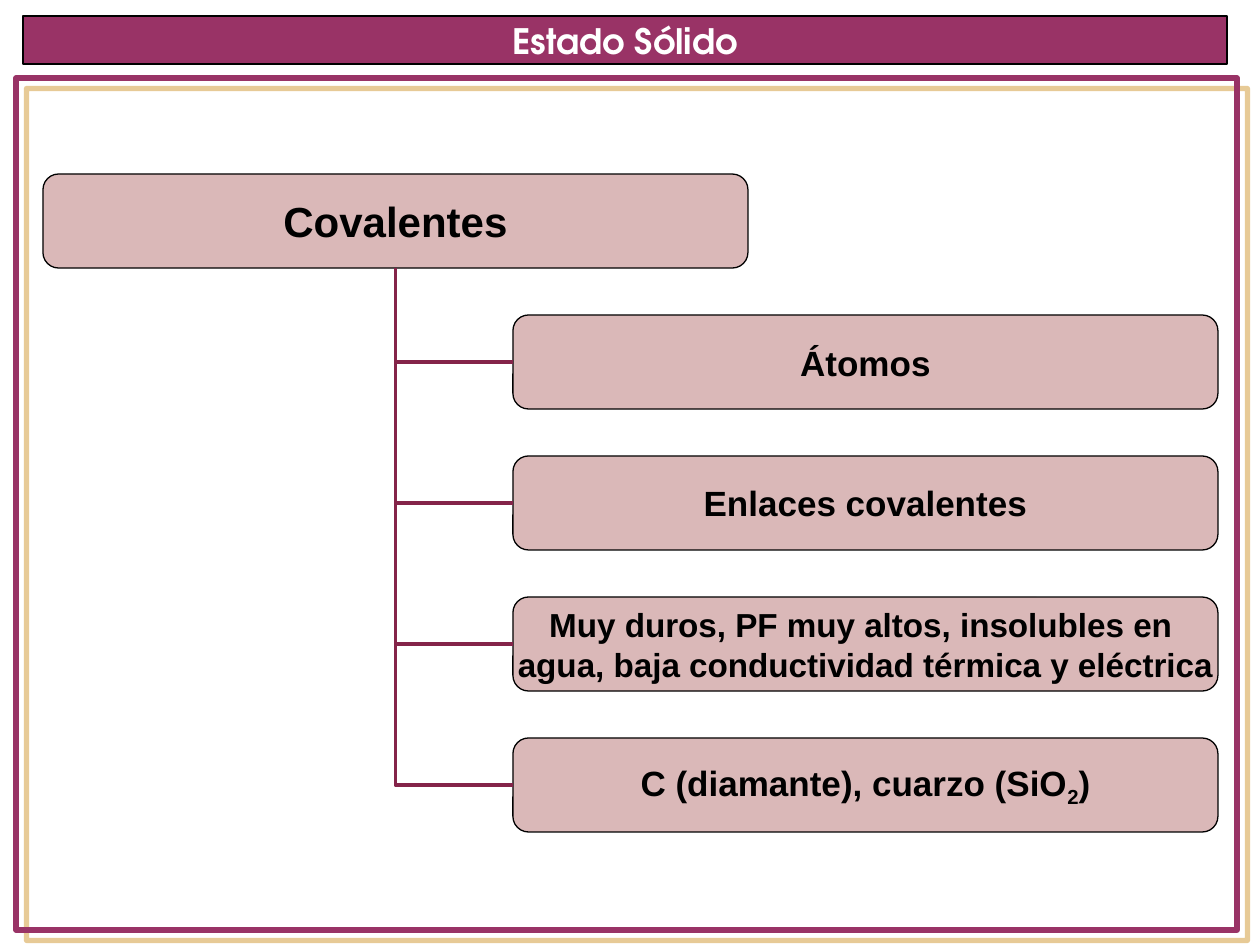
import dataclasses

import pptx
import pptx.dml.color
import pptx.enum.shapes
import pptx.enum.text
import pptx.oxml
import pptx.oxml.ns
import pptx.util

PX = 914400 / 126
SHAPES = pptx.enum.shapes.MSO_SHAPE


@dataclasses.dataclass(frozen=True)
class Theme:
    plum: str = "993366"
    branch: str = "842449"
    box: str = "DAB8B8"
    ink: str = "000000"
    paper: str = "FFFFFF"
    frame_shadow: str = "D1972F"
    title_font: str = "TeX Gyre Adventor"
    body_font: str = "Arial"
    title_size: int = 20
    parent_size: int = 24
    child_size: int = 20
    dense_size: int = 19


THEME = Theme()
rgb = pptx.dml.color.RGBColor.from_string


def emu(*lengths):
    return [round(length * PX) for length in lengths]


def format_box(shape, lines, fill, font, size, color):
    """Fill and outline a shape and write its centred lines; each line is a list of runs, "_" marking a subscript."""
    shape.shadow.inherit = False
    shape.fill.solid()
    shape.fill.fore_color.rgb = rgb(fill)
    shape.line.color.rgb = rgb(THEME.ink)
    shape.line.width = pptx.util.Pt(0.75)
    frame = shape.text_frame
    frame.word_wrap = False
    frame.auto_size = pptx.enum.text.MSO_AUTO_SIZE.NONE
    frame.vertical_anchor = pptx.enum.text.MSO_ANCHOR.MIDDLE
    frame.margin_left = frame.margin_right = frame.margin_top = frame.margin_bottom = 0
    for index, runs in enumerate(lines):
        paragraph = frame.add_paragraph() if index else frame.paragraphs[0]
        paragraph.alignment = pptx.enum.text.PP_ALIGN.CENTER
        paragraph.font.name = font
        paragraph.font.size = pptx.util.Pt(size)
        paragraph.font.bold = True
        paragraph.font.color.rgb = rgb(color)
        for text in runs:
            run = paragraph.add_run()
            run.text = text.lstrip("_")
            if text.startswith("_"):
                run._r.get_or_add_rPr().set("baseline", "-25000")


presentation = pptx.Presentation()
presentation.slide_width, presentation.slide_height = emu(1260, 945)
slide = presentation.slides.add_slide(presentation.slide_layouts[5])

# Title bar
title = slide.shapes.title
title.left, title.top, title.width, title.height = emu(23, 16, 1204, 48)
title._element.spPr.append(pptx.oxml.parse_xml(
    f'<a:prstGeom {pptx.oxml.ns.nsdecls("a")} prst="flowChartAlternateProcess"><a:avLst/></a:prstGeom>'))
format_box(title, [["Estado Sólido"]], THEME.plum, THEME.title_font, THEME.title_size, THEME.paper)

# Page frame with its offset shadow
page_frame = slide.shapes.add_shape(SHAPES.RECTANGLE, *emu(16, 78, 1221, 852))
page_frame.fill.background()
page_frame.line.color.rgb = rgb(THEME.plum)
page_frame.line.width = pptx.util.Pt(3)
page_frame.shadow.inherit = False
page_frame._element.spPr.find(pptx.oxml.ns.qn("a:effectLst")).append(pptx.oxml.parse_xml(
    f'<a:outerShdw {pptx.oxml.ns.nsdecls("a")} dist="107950" dir="2700000" algn="ctr" rotWithShape="0">'
    f'<a:srgbClr val="{THEME.frame_shadow}"><a:alpha val="50000"/></a:srgbClr></a:outerShdw>'))

# Hierarchy: the parent box and one row per property
BOX_W, BOX_H, ROW_PITCH = 705, 94, 141
PARENT_X, CHILD_X, FIRST_Y = 43, 513, 174
levels = [
    (PARENT_X, THEME.parent_size, [["Covalentes"]]),
    (CHILD_X, THEME.child_size, [["Átomos"]]),
    (CHILD_X, THEME.child_size, [["Enlaces covalentes"]]),
    (CHILD_X, THEME.dense_size, [["Muy duros, PF muy altos, insolubles en "],
                                 ["agua, baja conductividad térmica y eléctrica"]]),
    (CHILD_X, THEME.child_size, [["C (diamante), cuarzo (SiO", "_2", ")"]]),
]
boxes = []
for row, (x, size, lines) in enumerate(levels):
    box = slide.shapes.add_shape(SHAPES.ROUNDED_RECTANGLE, *emu(x, FIRST_Y + row * ROW_PITCH, BOX_W, BOX_H))
    format_box(box, lines, THEME.box, THEME.body_font, size, THEME.ink)
    boxes.append(box)

# Branches from each property up to the parent
parent, *children = boxes
for child in children:
    branch = slide.shapes.add_connector(
        pptx.enum.shapes.MSO_CONNECTOR.ELBOW,
        child.left, child.top + child.height // 2,
        parent.left + parent.width // 2, parent.top + parent.height)
    branch.begin_connect(child, 1)
    branch.end_connect(parent, 2)
    branch.line.color.rgb = rgb(THEME.branch)
    branch.line.width = pptx.util.Pt(2.25)
    properties = branch._element.spPr
    properties.find(pptx.oxml.ns.qn("a:prstGeom")).set("prst", "bentConnector2")
    properties.append(pptx.oxml.parse_xml(f'<a:effectLst {pptx.oxml.ns.nsdecls("a")}/>'))

presentation.save("out.pptx")
